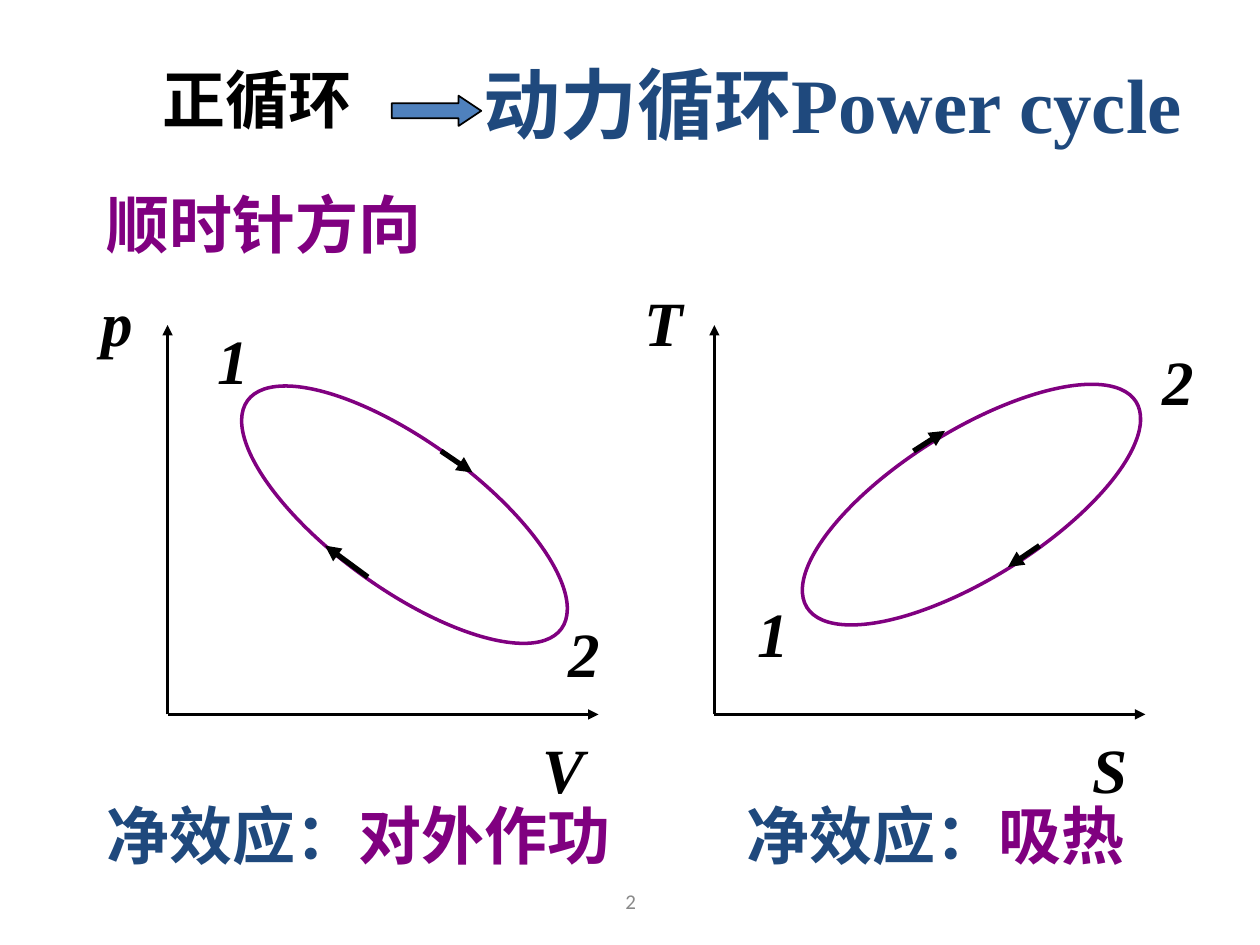
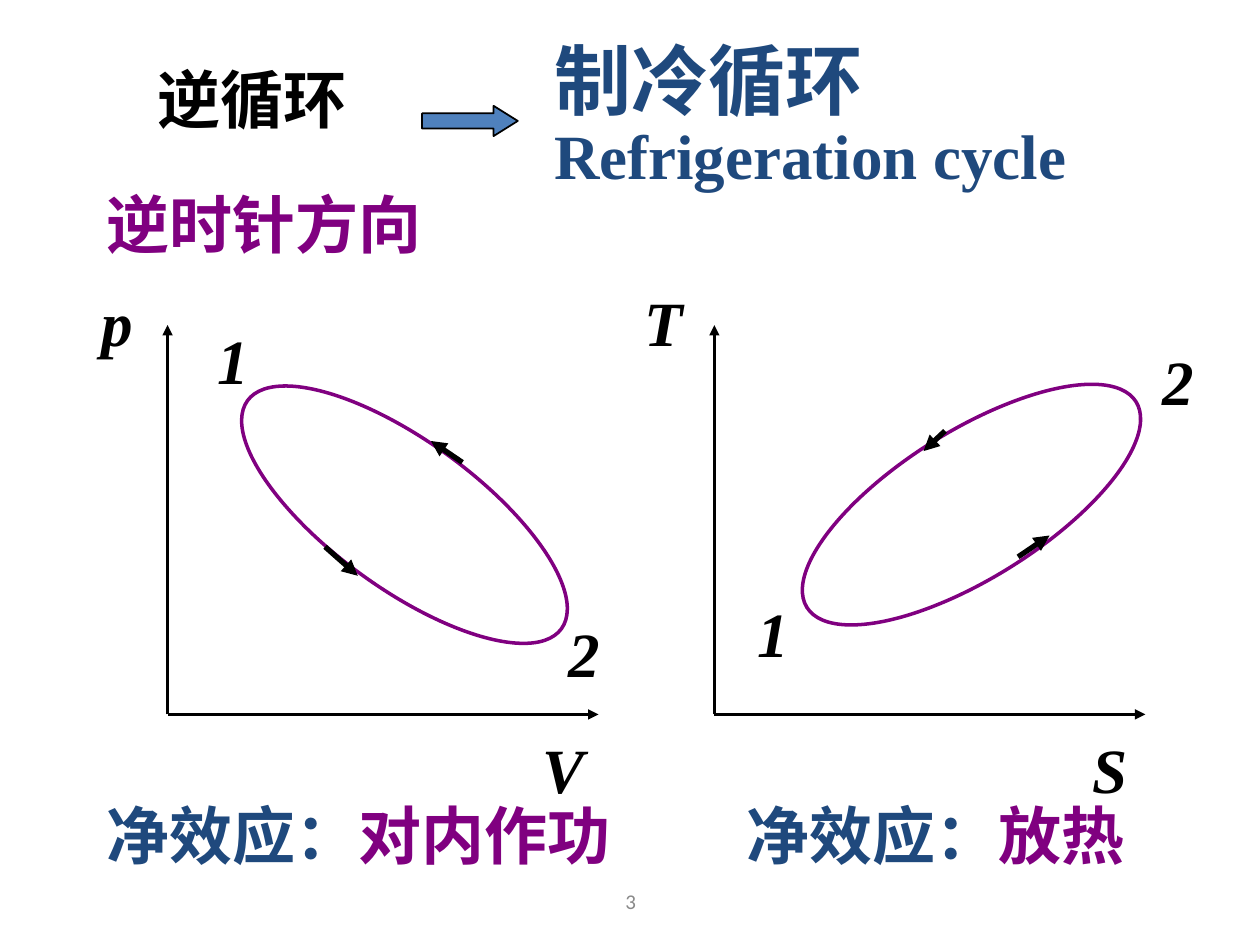
import pptx
import pptx.dml.color
import pptx.enum.shapes
import pptx.enum.text
import pptx.util
from lxml import etree
from pptx.oxml.ns import qn

Inches = pptx.util.Inches
Pt = pptx.util.Pt
Align = pptx.enum.text.PP_ALIGN
Anchor = pptx.enum.text.MSO_ANCHOR
AutoSize = pptx.enum.text.MSO_AUTO_SIZE
Shape = pptx.enum.shapes.MSO_SHAPE

BLACK, NAVY, PURPLE = "000000", "1F497D", "800080"
ARROW_BLUE, FOOTER_GREY = "4F81BD", "898989"
SERIF, SANS = "Times New Roman", "Calibri"
BODY_SIZE, NAME_SIZE, FOOTER_SIZE = 36, 44, 12

LINE_HEIGHT = 0.7
SYMBOL_WIDTHS = {"V": 0.53, "T": 0.5, "S": 0.48}
LOOP_WIDTH, LOOP_HEIGHT = 3.08, 1.17
PV_BOX = (1.33, 2.58, 3.42, 3.09)
TS_BOX = (5.67, 2.58, 3.42, 3.09)

# Offsets inside a diagram box: loop corner and tilt, states as (centre, top).
PV = {"axes": ("p", "V"), "loop": (0.34, 0.92, 36),
      "states": {"1": (0.52, -0.08), "2": (3.31, 2.25)}}
TS = {"axes": ("T", "S"), "loop": (0.5, 0.84, 148),
      "states": {"1": (0.47, 2.09), "2": (3.68, 0.09)}}

CYCLES = [
    {"number": 2, "title": "正循环", "title_width": 2.92,
     "direction": "顺时针方向",
     "name_box": (3.74, 0.4, 5.98, 0.84),
     "name": [("动力循环Power cycle", NAME_SIZE)],
     "pointer_box": (3.11, 0.76, 0.71, 0.24), "pointer_head": 0.75,
     "work": "对外作功", "heat": "吸热",
     "pv_arrows": [((2.17, 1), (2.42, 1.17)), ((1.59, 2), (1.25, 1.75))],
     "ts_arrows": [((1.58, 1), (1.83, 0.84)), ((2.58, 1.75), (2.33, 1.92))]},
    {"number": 3, "title": "逆循环", "title_width": 2.84,
     "direction": "逆时针方向",
     "name_box": (4.3, 0.21, 4.88, 1.38),
     "name": [("制冷循环", NAME_SIZE), ("Refrigeration cycle", BODY_SIZE)],
     "pointer_box": (3.35, 0.84, 0.76, 0.24), "pointer_head": 0.8,
     "work": "对内作功", "heat": "放热",
     "pv_arrows": [((2.34, 1.09), (2.09, 0.92)), ((1.25, 1.76), (1.51, 1.99))],
     "ts_arrows": [((1.83, 0.84), (1.66, 1)), ((2.41, 1.84), (2.66, 1.67))]},
]


def rgb(value):
    return pptx.dml.color.RGBColor.from_string(value)


def lengths(box):
    return [Inches(value) for value in box]


def add_run(paragraph, text, color, size=BODY_SIZE, font=SERIF, bold=True, italic=False):
    run = paragraph.add_run()
    run.text = text
    run.font.name = font
    run.font.size = Pt(size)
    run.font.bold = bold
    run.font.italic = italic
    run.font.color.rgb = rgb(color)


def add_text_frame(shapes, box, wrap=True, grow=True):
    frame = shapes.add_textbox(*lengths(box)).text_frame
    frame.word_wrap = wrap
    frame.auto_size = AutoSize.SHAPE_TO_FIT_TEXT if grow else AutoSize.NONE
    return frame


def add_statement(slide, box, parts):
    """Write one line from (text, colour) parts."""
    paragraph = add_text_frame(slide.shapes, box).paragraphs[0]
    for text, color in parts:
        add_run(paragraph, text, color)


def add_symbol(slide, symbol, center, top):
    width = SYMBOL_WIDTHS.get(symbol, 0.45)
    box = (center - width / 2, top, width, LINE_HEIGHT)
    paragraph = add_text_frame(slide.shapes, box, wrap=False).paragraphs[0]
    paragraph.alignment = Align.CENTER
    add_run(paragraph, symbol, BLACK, italic=True)


def add_arrow(slide, start, end, weight):
    arrow = slide.shapes.add_connector(
        pptx.enum.shapes.MSO_CONNECTOR.STRAIGHT, *lengths(start + end))
    arrow.line.color.rgb = rgb(BLACK)
    arrow.line.width = Pt(weight)
    etree.SubElement(arrow.line._get_or_add_ln(), qn("a:tailEnd"), type="triangle")
    etree.SubElement(arrow._element.spPr, qn("a:effectLst"))


def add_diagram(slide, box, diagram, arrows):
    """Draw axes, the closed loop, its two states and the direction arrows."""
    left, top, width, height = box

    def inside(point):
        return left + point[0], top + point[1]

    origin = inside((0, height))
    add_arrow(slide, origin, inside((width, height)), 1.5)
    add_arrow(slide, origin, inside((0, 0)), 1.5)
    vertical, horizontal = diagram["axes"]
    add_symbol(slide, vertical, *inside((-0.4, -0.38)))
    add_symbol(slide, horizontal, *inside((3.14, height + 0.08)))

    x, y, tilt = diagram["loop"]
    loop = slide.shapes.add_shape(
        Shape.OVAL, *lengths(inside((x, y)) + (LOOP_WIDTH, LOOP_HEIGHT)))
    loop.rotation = tilt
    loop.shadow.inherit = False
    loop.fill.background()
    loop.line.color.rgb = rgb(PURPLE)
    loop.line.width = Pt(2)

    for state, place in diagram["states"].items():
        add_symbol(slide, state, *inside(place))
    for start, end in arrows:
        add_arrow(slide, inside(start), inside(end), 3)


def add_title(slide, text, box):
    title = slide.shapes.title
    title.left, title.top, title.width, title.height = lengths(box)
    frame = title.text_frame
    frame.auto_size = AutoSize.NONE
    frame.vertical_anchor = Anchor.MIDDLE
    paragraph = frame.paragraphs[0]
    paragraph.alignment = Align.CENTER
    add_run(paragraph, text, BLACK)


def add_cycle_name(slide, cycle):
    """Group the cycle's name with the block arrow that points to it."""
    shapes = slide.shapes.add_group_shape().shapes
    frame = add_text_frame(shapes, cycle["name_box"])
    for index, (text, size) in enumerate(cycle["name"]):
        paragraph = frame.add_paragraph() if index else frame.paragraphs[0]
        if index:
            paragraph.line_spacing = 0.9
        add_run(paragraph, text, NAVY, size)

    pointer = shapes.add_shape(Shape.RIGHT_ARROW, *lengths(cycle["pointer_box"]))
    pointer.adjustments[1] = cycle["pointer_head"]
    pointer.shadow.inherit = False
    pointer.fill.solid()
    pointer.fill.fore_color.rgb = rgb(ARROW_BLUE)
    pointer.line.color.rgb = rgb(BLACK)
    pointer.line.width = Pt(1)


def add_page_number(slide, number):
    frame = add_text_frame(slide.shapes, (3.42, 6.95, 3.17, 0.4), grow=False)
    frame.vertical_anchor = Anchor.MIDDLE
    paragraph = frame.paragraphs[0]
    paragraph.alignment = Align.CENTER
    add_run(paragraph, str(number), FOOTER_GREY, FOOTER_SIZE, SANS, bold=False)


def add_cycle_slide(prs, cycle):
    title_only = prs.slide_layouts[5]
    slide = prs.slides.add_slide(title_only)
    add_page_number(slide, cycle["number"])
    add_title(slide, cycle["title"], (0.58, 0.33, cycle["title_width"], 0.9))
    add_statement(slide, (0.75, 1.42, 5.33, LINE_HEIGHT), [(cycle["direction"], PURPLE)])
    add_diagram(slide, PV_BOX, PV, cycle["pv_arrows"])
    add_diagram(slide, TS_BOX, TS, cycle["ts_arrows"])
    for left, width, effect in ((0.75, 4.58, "work"), (5.83, 3.58, "heat")):
        add_statement(slide, (left, 6.27, width, LINE_HEIGHT),
                      [("净效应：", NAVY), (cycle[effect], PURPLE)])
    add_cycle_name(slide, cycle)


def main():
    prs = pptx.Presentation()
    prs.slide_width, prs.slide_height = Inches(10), Inches(7.5)
    for cycle in CYCLES:
        add_cycle_slide(prs, cycle)
    prs.save("out.pptx")


if __name__ == "__main__":
    main()
